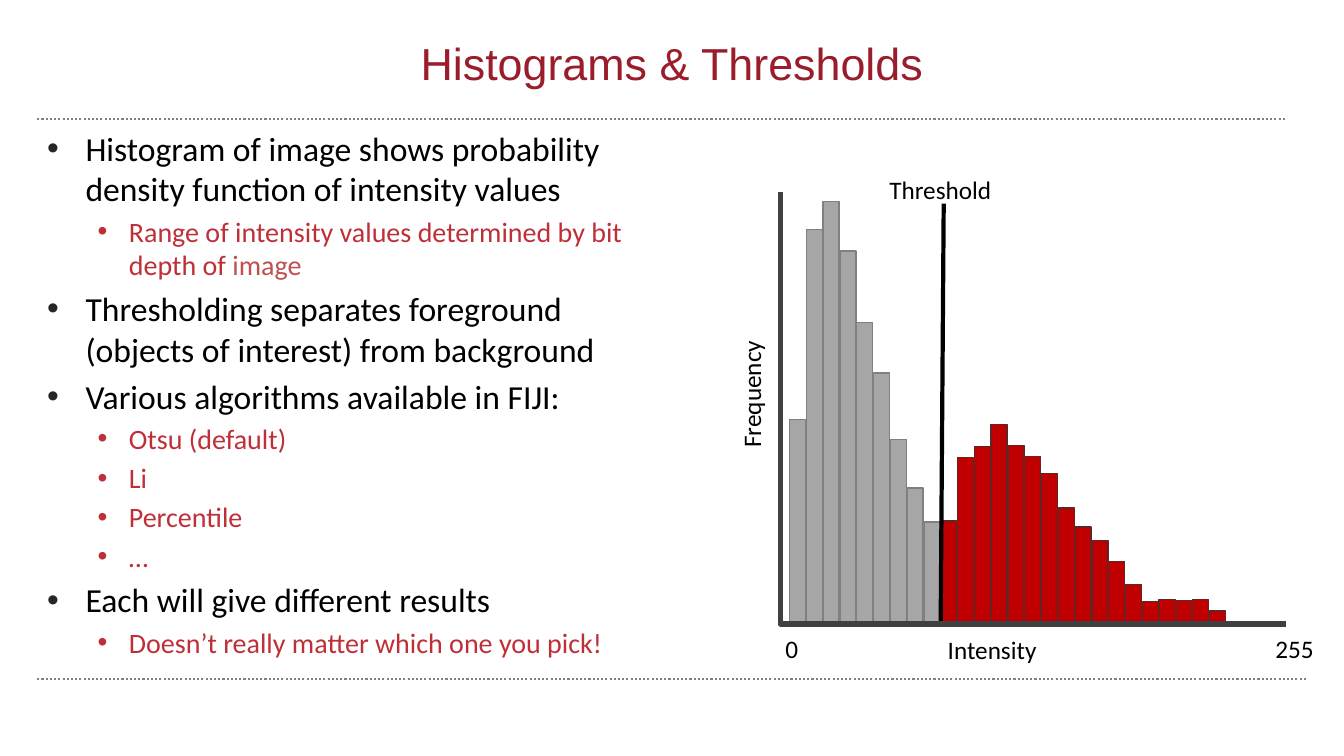
from dataclasses import dataclass

from lxml.etree import SubElement
from pptx import Presentation
from pptx.dml.color import RGBColor
from pptx.enum.dml import MSO_LINE_DASH_STYLE as Dash
from pptx.enum.shapes import MSO_CONNECTOR as Connector, MSO_SHAPE as Shape
from pptx.enum.text import MSO_ANCHOR as Anchor, PP_ALIGN as Align
from pptx.oxml.ns import qn
from pptx.util import Inches, Pt

COLORS = {
    "title": "9A1D2B", "text": "000000", "detail": "BF2F37", "accent": "C0504D",
    "bullet": "262626", "rule": "808080", "axis": "404040",
    "background": "A6A6A6", "background_edge": "808080",
    "foreground": "C00000", "foreground_edge": "632523",
}
BAR_LEFT, BAR_STEP, BAR_WIDTH, BASELINE = 7.83, 1 / 6, 0.16, 6.18
BAR_TOPS = [
    4.16, 2.28, 2.0, 2.49, 3.2, 3.7, 4.36, 4.84, 5.18,
    5.17, 4.54, 4.43, 4.21, 4.42, 4.53, 4.7, 5.04, 5.23, 5.36,
    5.57, 5.8, 5.97, 5.95, 5.96, 5.95, 6.06,
]
BACKGROUND_BARS = 9


@dataclass
class Level:
    size: int
    color: str
    bullet_color: str
    margin: float
    hanging: float


@dataclass
class Point:
    level: int
    text: str
    accent: str = ""


@dataclass
class Label:
    text: str
    left: float
    top: float
    width: float
    rotation: int = 0


@dataclass
class Stroke:
    start: tuple[float, float]
    end: tuple[float, float]
    color: str
    weight: float
    dash: Dash | None = None


LEVELS = [
    Level(24, "text", "bullet", 0.38, 0.38),
    Level(20, "detail", "detail", 0.81, 0.31),
]
POINTS = [
    Point(0, "Histogram of image shows probability density function of intensity values"),
    Point(1, "Range of intensity values determined by bit depth of", " image"),
    Point(0, "Thresholding separates foreground (objects of interest) from background"),
    Point(0, "Various algorithms available in FIJI:"),
    Point(1, "Otsu (default)"),
    Point(1, "Li"),
    Point(1, "Percentile"),
    Point(1, "…"),
    Point(0, "Each will give different results"),
    Point(1, "Doesn’t really matter which one you pick!"),
]
LABELS = [
    Label("255", 12.6, 6.23, 0.74),
    Label("0", 7.74, 6.23, 0.74),
    Label("Frequency", 6.46, 3.31, 1.97, 270),
    Label("Intensity", 9.35, 6.24, 1.97),
    Label("Threshold", 8.77, 1.68, 2.29),
]
RULES = [
    Stroke((0.37, 1.18), (12.75, 1.18), "rule", 1.5, Dash.ROUND_DOT),
    Stroke((0.37, 6.74), (12.97, 6.74), "rule", 1.5, Dash.ROUND_DOT),
]
THRESHOLD = Stroke((9.33, 6.16), (9.36, 2.02), "text", 3)


def rgb(name: str) -> RGBColor:
    return RGBColor.from_string(COLORS[name])


def write(paragraph, text: str, *, size: int, color: str, font: str = "Calibri") -> None:
    run = paragraph.add_run()
    run.text = text
    run.font.size = Pt(size)
    run.font.name = font
    run.font.color.rgb = rgb(color)


def add_frame(slide, left: float, top: float, width: float, height: float):
    box = slide.shapes.add_textbox(Inches(left), Inches(top), Inches(width), Inches(height))
    box.text_frame.word_wrap = True
    return box


def draw_stroke(slide, stroke: Stroke) -> None:
    line = slide.shapes.add_connector(
        Connector.STRAIGHT, *map(Inches, stroke.start + stroke.end))
    line.line.color.rgb = rgb(stroke.color)
    line.line.width = Pt(stroke.weight)
    if stroke.dash is not None:
        line.line.dash_style = stroke.dash
    SubElement(line._element.spPr, qn("a:effectLst"))


def draw_title(slide) -> None:
    frame = add_frame(slide, 2.64, 0.28, 8.05, 0.66).text_frame
    frame.vertical_anchor = Anchor.BOTTOM
    heading = frame.paragraphs[0]
    heading.alignment = Align.CENTER
    write(heading, "Histograms & Thresholds", size=32, color="title", font="Arial")


def add_bullet(paragraph, level: Level) -> None:
    properties = paragraph._p.get_or_add_pPr()
    properties.set("marL", str(Inches(level.margin)))
    properties.set("indent", str(-Inches(level.hanging)))
    tint = SubElement(properties, qn("a:buClr"))
    SubElement(tint, qn("a:srgbClr")).set("val", COLORS[level.bullet_color])
    SubElement(properties, qn("a:buFont")).set("typeface", "Arial")
    SubElement(properties, qn("a:buChar")).set("char", "•")


def draw_points(slide, points: list[Point]) -> None:
    frame = add_frame(slide, 0.37, 1.22, 6.29, 5.39).text_frame
    for index, point in enumerate(points):
        paragraph = frame.add_paragraph() if index else frame.paragraphs[0]
        level = LEVELS[point.level]
        paragraph.level = point.level
        add_bullet(paragraph, level)
        if index:
            paragraph.space_before = Pt(level.size * 0.2)
        write(paragraph, point.text, size=level.size, color=level.color)
        if point.accent:
            write(paragraph, point.accent, size=level.size, color="accent")


def draw_bar(slide, index: int, top: float) -> None:
    side = "background" if index < BACKGROUND_BARS else "foreground"
    bar = slide.shapes.add_shape(
        Shape.RECTANGLE, Inches(BAR_LEFT + index * BAR_STEP), Inches(top),
        Inches(BAR_WIDTH), Inches(BASELINE - top))
    bar.shadow.inherit = False
    bar.fill.solid()
    bar.fill.fore_color.rgb = rgb(side)
    bar.line.color.rgb = rgb(f"{side}_edge")
    bar.line.width = Pt(1)


def draw_axes(slide) -> None:
    outline = slide.shapes.build_freeform(Inches(7.74), Inches(1.9))
    corners = [(7.74, 6.19), (12.75, 6.19)]
    outline.add_line_segments([(Inches(x), Inches(y)) for x, y in corners], close=False)
    axes = outline.convert_to_shape()
    axes.shadow.inherit = False
    axes.fill.background()
    axes.line.color.rgb = rgb("axis")
    axes.line.width = Pt(4)


def draw_label(slide, label: Label) -> None:
    box = add_frame(slide, label.left, label.top, label.width, 0.39)
    box.rotation = label.rotation
    frame = box.text_frame
    frame.margin_left = frame.margin_right = Inches(0.05)
    frame.margin_top = frame.margin_bottom = Inches(0.05)
    write(frame.paragraphs[0], label.text, size=18, color="text")


def main() -> None:
    deck = Presentation()
    deck.slide_width, deck.slide_height = Inches(13.33), Inches(7.5)
    slide = deck.slides.add_slide(deck.slide_layouts[6])
    for rule in RULES:
        draw_stroke(slide, rule)
    draw_title(slide)
    draw_points(slide, POINTS)
    for index, top in enumerate(BAR_TOPS):
        draw_bar(slide, index, top)
    draw_axes(slide)
    for label in LABELS:
        draw_label(slide, label)
    draw_stroke(slide, THRESHOLD)
    deck.save("out.pptx")


if __name__ == "__main__":
    main()
